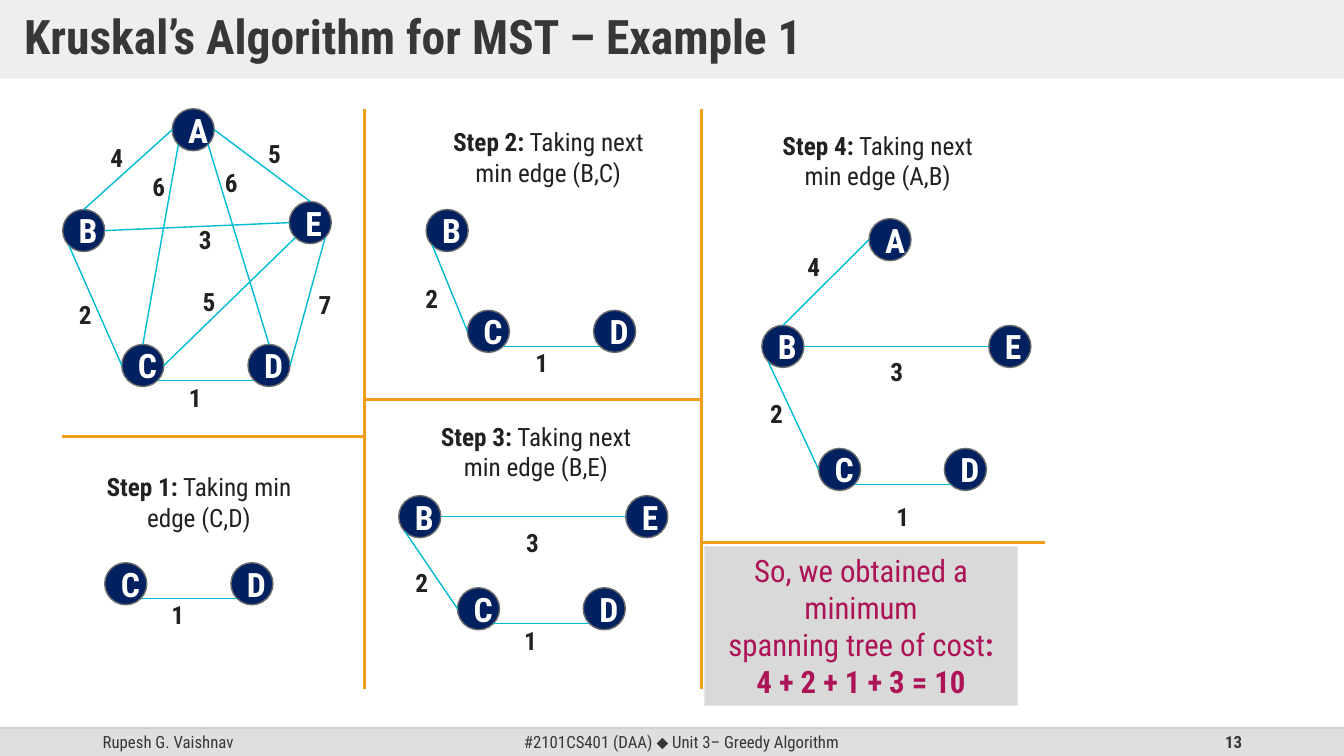
from math import cos, radians, sin

from lxml.etree import SubElement
from pptx import Presentation
from pptx.dml.color import RGBColor
from pptx.enum.shapes import MSO_CONNECTOR, MSO_SHAPE
from pptx.enum.text import MSO_ANCHOR, PP_ALIGN
from pptx.oxml.ns import qn
from pptx.util import Cm, Pt

FONT = "Roboto Condensed"
COLORS = {
    "bar": "DFDFDF", "bar_line": "BFBFBF", "heading": "373737", "text": "212121",
    "node": "002060", "node_line": "6B6B6B", "node_text": "FFFFFF", "edge": "00BBD3",
    "divider": "F19D19", "result": "D9D9D9", "result_text": "AD1457",
}
SLIDE_WIDTH, SLIDE_HEIGHT = 33.87, 19.05
NODE_SIZE = 1.06
LABEL_SIZE = (0.84, 1.02)

# Clockwise angles of the points where edges meet a node
ANGLES = {"right": 0, "lower right": 45, "lower left": 135, "left": 180, "top": 270}
# Edge: weight, point on its first node, point on its second node
EDGES = {
    "AB": (4, "left", "top"),
    "BC": (2, "lower left", "left"),
    "CD": (1, "lower right", "lower left"),
    "AE": (5, "right", "top"),
    "ED": (7, "lower right", "right"),
    "AC": (6, "lower left", "top"),
    "AD": (6, "lower right", "top"),
    "CE": (5, "right", "lower left"),
    "BE": (3, "right", "left"),
}

# Panel edges
LEFT, MIDDLE, RIGHT, END = 1.55, 9.19, 17.68, 26.34
TOP, BOTTOM = 2.74, 17.37
SPLITS = {LEFT: 11.0, MIDDLE: 10.06, RIGHT: 13.67}

# Each panel: origin, caption (left, top, width, bold, rest, second line),
# node positions and weight positions, all relative to the origin
PANELS = [
    ((LEFT, TOP), None,
     {"A": (2.79, 0), "B": (0.03, 2.54), "C": (1.52, 5.94), "D": (4.7, 5.94),
      "E": (5.74, 2.34)},
     {"AB": (0.97, 0.71), "BC": (0.18, 4.67), "CD": (2.95, 6.76), "AE": (4.95, 0.61),
      "ED": (6.22, 4.42), "AC": (2.03, 1.45), "AD": (3.86, 1.35), "CE": (3.3, 4.34),
      "BE": (3.2, 2.79)}),
    ((LEFT, SPLITS[LEFT]),
     (0.76, 0.76, 5.41, "Step 1:", " Taking min", "edge (C,D)"),
     {"C": (1.09, 3.18), "D": (4.27, 3.18)},
     {"CD": (2.51, 3.99)}),
    ((MIDDLE, TOP),
     (1.85, 0.33, 5.56, "Step 2:", " Taking next", "min edge (B,C)"),
     {"B": (1.55, 2.54), "C": (2.59, 5.08), "D": (5.77, 5.08)},
     {"BC": (1.27, 4.27), "CD": (4.04, 5.89)}),
    ((MIDDLE, SPLITS[MIDDLE]),
     (1.27, 0.43, 6.1, "Step 3:", " Taking next", "min edge (B,E)"),
     {"B": (0.86, 2.43), "C": (2.34, 4.75), "D": (5.51, 4.75), "E": (6.58, 2.43)},
     {"BC": (1.02, 4.11), "BE": (3.81, 3.1), "CD": (3.76, 5.56)}),
    ((RIGHT, TOP),
     (1.47, 0.41, 5.94, "Step 4:", " Taking next", "min edge (A,B)"),
     {"A": (4.22, 2.77), "B": (1.52, 5.46), "C": (2.95, 8.56), "D": (6.12, 8.56),
      "E": (7.24, 5.46)},
     {"AB": (2.41, 3.48), "BC": (1.47, 7.16), "BE": (4.5, 6.12), "CD": (4.65, 9.78)}),
]


def color(name):
    return RGBColor.from_string(COLORS[name])


def set_alpha(properties, percent):
    """Make the solid colour inside a fill or line element translucent."""
    rgb = next(properties.iter(qn("a:srgbClr")))
    SubElement(rgb, qn("a:alpha")).set("val", str(percent * 1000))


def add_run(paragraph, text, size, color_name, bold=False, font=FONT):
    run = paragraph.add_run()
    run.text = text
    run.font.name = font
    run.font.size = Pt(size)
    run.font.bold = bold
    run.font.color.rgb = color(color_name)


def write_lines(frame, lines, size, color_name, align=PP_ALIGN.CENTER):
    """Write each line, a list of (text, bold) runs, as one paragraph."""
    for index, runs in enumerate(lines):
        paragraph = frame.add_paragraph() if index else frame.paragraphs[0]
        paragraph.alignment = align
        for text, bold in runs:
            add_run(paragraph, text, size, color_name, bold)


def add_text(slide, box, lines, size, color_name, align=PP_ALIGN.CENTER,
             anchor=MSO_ANCHOR.TOP, wrap=False):
    frame = slide.shapes.add_textbox(*map(Cm, box)).text_frame
    frame.word_wrap = wrap
    frame.vertical_anchor = anchor
    write_lines(frame, lines, size, color_name, align)
    return frame


def add_block(slide, preset, box, fill, line=None):
    shape = slide.shapes.add_shape(preset, *map(Cm, box))
    shape.shadow.inherit = False
    shape.fill.solid()
    shape.fill.fore_color.rgb = color(fill)
    if line:
        shape.line.color.rgb = color(line)
        shape.line.width = Pt(1)
    else:
        shape.line.fill.background()
    return shape


def add_line(slide, start, end, color_name, width=1):
    line = slide.shapes.add_connector(MSO_CONNECTOR.STRAIGHT, *map(Cm, (*start, *end)))
    line.line.color.rgb = color(color_name)
    line.line.width = Pt(width)
    SubElement(line._element.spPr, qn("a:effectLst"))
    return line


def format_title(slide, box, text):
    title = slide.shapes.title
    title.left, title.top, title.width, title.height = map(Cm, box)
    title.fill.solid()
    title.fill.fore_color.rgb = color("bar")
    set_alpha(title._element.spPr, 50)
    frame = title.text_frame
    frame.vertical_anchor = MSO_ANCHOR.MIDDLE
    frame.margin_left = frame.margin_right = Cm(0.61)
    frame.margin_top = frame.margin_bottom = Cm(0.3)
    write_lines(frame, [[(text, True)]], 34, "heading", PP_ALIGN.LEFT)
    frame.paragraphs[0].line_spacing = 0.9


def add_footer(slide, box):
    left, top, width, height = box
    add_block(slide, MSO_SHAPE.RECTANGLE, box, "bar")
    rule = add_line(slide, (left, top), (left + width, top), "bar_line")
    set_alpha(rule._element.spPr, 70)
    parts = [
        (2.34, 7.62, [("Rupesh G. Vaishnav", False)], PP_ALIGN.LEFT),
        (11.23, 11.89, [("#2101CS401 (DAA) ", False)], PP_ALIGN.CENTER),
        (23.93, 7.62, [("13", True)], PP_ALIGN.RIGHT),
    ]
    frames = [add_text(slide, (left + x, top, part_width, height), [runs], 12, "heading",
                       align, MSO_ANCHOR.MIDDLE, wrap=True)
              for x, part_width, runs, align in parts]
    course = frames[1].paragraphs[0]
    add_run(course, "⬥", 12, "heading", font="Arial")
    add_run(course, " Unit 3– Greedy Algorithm", 12, "heading")


def edge_point(corner, place):
    angle = radians(ANGLES[place])
    radius = NODE_SIZE / 2
    return (corner[0] + radius * (1 + cos(angle)), corner[1] + radius * (1 + sin(angle)))


def add_panel(slide, origin, caption, nodes, weights):
    """Draw a caption and a weighted graph relative to the panel's origin."""
    def place(point):
        return origin[0] + point[0], origin[1] + point[1]

    if caption:
        *corner, width, step, action, edge = caption
        add_text(slide, (*place(corner), width, 1.8),
                 [[(step, True), (action, False)], [(edge, False)]], 18, "text")
    corners = {name: place(point) for name, point in nodes.items()}
    for name, corner in corners.items():
        node = add_block(slide, MSO_SHAPE.OVAL, (*corner, NODE_SIZE, NODE_SIZE),
                         "node", "node_line")
        node.text_frame.vertical_anchor = MSO_ANCHOR.MIDDLE
        write_lines(node.text_frame, [[(name, True)]], 24, "node_text")
    for (first, second), point in weights.items():
        weight, start, end = EDGES[first + second]
        add_line(slide, edge_point(corners[first], start),
                 edge_point(corners[second], end), "edge")
        add_text(slide, (*place(point), *LABEL_SIZE), [[(str(weight), True)]], 18, "text")


def add_dividers(slide):
    for x in (MIDDLE, RIGHT):
        add_line(slide, (x, TOP), (x, BOTTOM), "divider", 2.25)
    for (left, y), right in zip(SPLITS.items(), (MIDDLE, RIGHT, END)):
        add_line(slide, (left, y), (right, y), "divider", 2.25)


def add_result(slide, box):
    frame = add_block(slide, MSO_SHAPE.RECTANGLE, box, "result").text_frame
    frame.word_wrap = True
    frame.vertical_anchor = MSO_ANCHOR.TOP
    write_lines(frame, [
        [("So, we obtained a minimum", False)],
        [("spanning tree of cost", False), (":", True)],
        [("4 + 2 + 1 + 3 = 10", True)],
    ], 22, "result_text")


def main():
    presentation = Presentation()
    presentation.slide_width = Cm(SLIDE_WIDTH)
    presentation.slide_height = Cm(SLIDE_HEIGHT)
    slide = presentation.slides.add_slide(presentation.slide_layouts[5])
    format_title(slide, (0, 0, SLIDE_WIDTH, 1.98), "Kruskal’s Algorithm for MST – Example 1")
    add_footer(slide, (0, 18.34, SLIDE_WIDTH, 0.71))
    for panel in PANELS:
        add_panel(slide, *panel)
    add_dividers(slide)
    add_result(slide, (17.75, 13.77, 7.9, 4.01))
    presentation.save("out.pptx")


if __name__ == "__main__":
    main()
